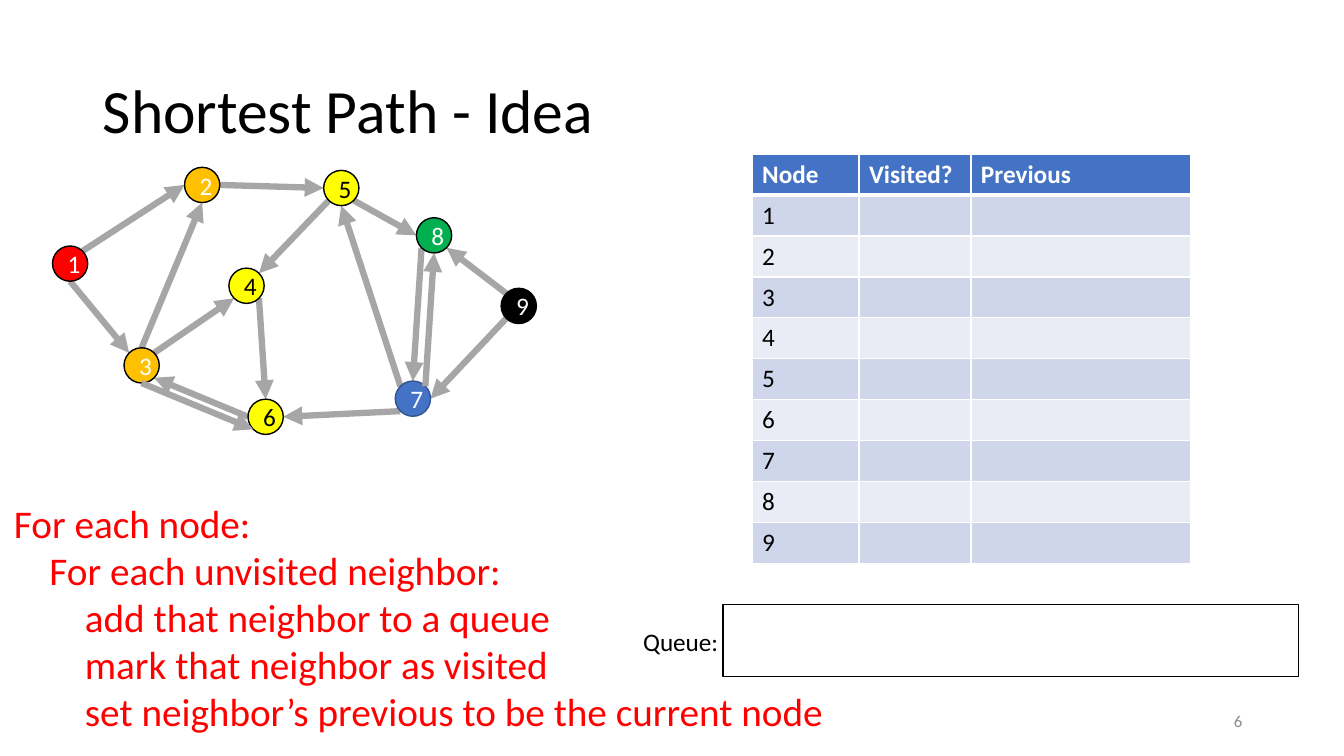
from dataclasses import dataclass
from math import sqrt

from lxml.etree import SubElement
from pptx import Presentation
from pptx.dml.color import RGBColor
from pptx.enum.shapes import MSO_CONNECTOR, MSO_SHAPE
from pptx.enum.text import MSO_ANCHOR, MSO_AUTO_SIZE, PP_ALIGN
from pptx.oxml.ns import qn
from pptx.shapes.autoshape import Shape
from pptx.slide import Slide
from pptx.table import _Cell
from pptx.text.text import TextFrame
from pptx.util import Emu, Inches, Pt

BLACK = RGBColor(0x00, 0x00, 0x00)
WHITE = RGBColor(0xFF, 0xFF, 0xFF)
RED = RGBColor(0xFF, 0x00, 0x00)
ORANGE = RGBColor(0xFF, 0xC0, 0x00)
YELLOW = RGBColor(0xFF, 0xFF, 0x00)
GREEN = RGBColor(0x00, 0xB0, 0x50)
BLUE = RGBColor(0x44, 0x72, 0xC4)
DARK_BLUE = RGBColor(0x32, 0x54, 0x91)
ARROW_GRAY = RGBColor(0xA6, 0xA6, 0xA6)
NUMBER_GRAY = RGBColor(0x8C, 0x8C, 0x8C)
BAND_DARK = RGBColor(0xCF, 0xD5, 0xEA)
BAND_LIGHT = RGBColor(0xE9, 0xEB, 0xF5)

FONT = "Calibri"
SLIDE_WIDTH = Inches(13.33)
SLIDE_HEIGHT = Inches(7.5)
GRID_ROWS = 75
CELL = SLIDE_HEIGHT / GRID_ROWS
NODE_SIZE = 3.5
INDENT = 3.52
DIAGONAL = sqrt(0.5)
COMPASS = {
    "N": (0, -1), "S": (0, 1), "W": (-1, 0), "E": (1, 0),
    "NW": (-DIAGONAL, -DIAGONAL), "NE": (DIAGONAL, -DIAGONAL),
    "SW": (-DIAGONAL, DIAGONAL), "SE": (DIAGONAL, DIAGONAL),
}


@dataclass(frozen=True)
class Node:
    column: float
    row: float
    fill: RGBColor
    ink: RGBColor = WHITE
    outline: RGBColor = BLACK


@dataclass(frozen=True)
class Edge:
    start: int
    start_side: str
    end: int
    end_side: str


NODES = {
    1: Node(5.2, 24.4, RED),
    2: Node(18.3, 16.6, ORANGE),
    3: Node(12.3, 34.5, ORANGE),
    4: Node(22.7, 26.6, YELLOW, BLACK),
    5: Node(32.1, 16.9, YELLOW, BLACK),
    6: Node(24.6, 39.6, YELLOW, BLACK),
    7: Node(39.2, 37.8, BLUE, WHITE, DARK_BLUE),
    8: Node(41.3, 21.6, GREEN),
    9: Node(49.7, 28.6, BLACK),
}
EDGES_BELOW = [
    Edge(1, "NE", 2, "W"), Edge(2, "E", 5, "W"), Edge(1, "S", 3, "NW"),
    Edge(3, "NE", 4, "SW"), Edge(6, "W", 3, "SE"), Edge(4, "SE", 6, "N"),
    Edge(5, "SW", 4, "NE"), Edge(7, "SW", 6, "E"), Edge(7, "NW", 5, "S"),
    Edge(5, "SE", 8, "W"), Edge(8, "SW", 7, "N"), Edge(9, "NW", 8, "SE"),
    Edge(9, "SW", 7, "E"), Edge(3, "N", 2, "S"),
]
EDGES_ABOVE = [Edge(7, "NE", 8, "S"), Edge(3, "S", 6, "SW")]
PSEUDOCODE = [
    (0, "For each node:"),
    (1, "For each unvisited neighbor:"),
    (2, "add that neighbor to a queue"),
    (2, "mark that neighbor as visited"),
    (2, "set neighbor’s previous to be the current node"),
]
HEADERS = ["Node", "Visited?", "Previous"]
TABLE_COLUMNS = [10.6, 11.1, 21.8]
TABLE_ROW = 4.06


def grid(*cells: float) -> list[Emu]:
    return [Emu(round(count * CELL)) for count in cells]


def write_text(frame: TextFrame, lines: list[tuple[int, str]], *, size: float,
               color: RGBColor = BLACK, bold: bool = False, wrap: bool = True,
               align: PP_ALIGN = PP_ALIGN.LEFT, spacing: float = 1.0,
               anchor: MSO_ANCHOR = MSO_ANCHOR.TOP) -> None:
    frame.word_wrap = wrap
    frame.auto_size = MSO_AUTO_SIZE.NONE
    frame.vertical_anchor = anchor
    for index, (level, text) in enumerate(lines):
        para = frame.add_paragraph() if index else frame.paragraphs[0]
        para.alignment = align
        para.line_spacing = spacing
        if level:
            para._p.get_or_add_pPr().set("marL", str(grid(level * INDENT)[0]))
        span = para.add_run()
        span.text = text
        span.font.name = FONT
        span.font.size = Pt(size)
        span.font.bold = bold
        span.font.color.rgb = color


def add_outlined(page: Slide, kind: MSO_SHAPE, area: list[Emu],
                 fill: RGBColor, outline: RGBColor) -> Shape:
    shape = page.shapes.add_shape(kind, *area)
    shape.shadow.inherit = False
    shape.fill.solid()
    shape.fill.fore_color.rgb = fill
    shape.line.color.rgb = outline
    shape.line.width = Pt(1)
    return shape


def add_node(page: Slide, label: int, node: Node) -> None:
    area = grid(node.column, node.row, NODE_SIZE, NODE_SIZE)
    circle = add_outlined(page, MSO_SHAPE.OVAL, area, node.fill, node.outline)
    write_text(circle.text_frame, [(0, str(label))], size=18, color=node.ink,
               align=PP_ALIGN.CENTER, anchor=MSO_ANCHOR.MIDDLE)


def node_side(label: int, side: str) -> list[Emu]:
    node, (across, down) = NODES[label], COMPASS[side]
    radius = NODE_SIZE / 2
    return grid(node.column + radius * (1 + across), node.row + radius * (1 + down))


def add_edge(page: Slide, edge: Edge) -> None:
    arrow = page.shapes.add_connector(
        MSO_CONNECTOR.STRAIGHT,
        *node_side(edge.start, edge.start_side), *node_side(edge.end, edge.end_side))
    arrow.line.color.rgb = ARROW_GRAY
    arrow.line.width = Pt(4.5)
    properties = arrow._element.spPr
    SubElement(properties.find(qn("a:ln")), qn("a:tailEnd"), type="triangle")
    SubElement(properties, qn("a:effectLst"))


def style_cell(cell: _Cell, fill: RGBColor, borders: dict[str, float]) -> None:
    properties = cell._tc.get_or_add_tcPr()
    for side, width in borders.items():
        line = SubElement(properties, qn(f"a:ln{side}"), w=str(Pt(width)))
        paint = SubElement(line, qn("a:solidFill"))
        SubElement(paint, qn("a:srgbClr"), val=str(WHITE))
    cell.fill.solid()
    cell.fill.fore_color.rgb = fill


def add_node_table(page: Slide) -> None:
    rows = [HEADERS] + [[str(label), "", ""] for label in NODES]
    area = grid(74.6, 15.3, sum(TABLE_COLUMNS), TABLE_ROW * len(rows))
    table = page.shapes.add_table(len(rows), len(HEADERS), *area).table
    for column, width in zip(table.columns, grid(*TABLE_COLUMNS)):
        column.width = width
    for index, values in enumerate(rows):
        table.rows[index].height = grid(TABLE_ROW)[0]
        header = index == 0
        fill = BLUE if header else BAND_DARK if index % 2 else BAND_LIGHT
        borders = {"L": 1, "R": 1, "T": 3 if index == 1 else 1, "B": 3 if header else 1}
        for cell, value in zip(table.rows[index].cells, values):
            style_cell(cell, fill, borders)
            if value:
                write_text(cell.text_frame, [(0, value)], size=18, bold=header,
                           color=WHITE if header else BLACK)


def main() -> None:
    deck = Presentation()
    deck.slide_width, deck.slide_height = SLIDE_WIDTH, SLIDE_HEIGHT
    page = deck.slides.add_slide(deck.slide_layouts[5])
    title = page.shapes.title
    title.left, title.top, title.width, title.height = grid(9.2, 4, 115, 14.5)
    write_text(title.text_frame, [(0, "Shortest Path - Idea")], size=44,
               spacing=0.9, anchor=MSO_ANCHOR.MIDDLE)
    number = page.shapes.add_textbox(*grid(94.2, 69.5, 30, 4))
    write_text(number.text_frame, [(0, "6")], size=12, color=NUMBER_GRAY,
               align=PP_ALIGN.RIGHT, anchor=MSO_ANCHOR.MIDDLE)
    for edge in EDGES_BELOW:
        add_edge(page, edge)
    for label, node in NODES.items():
        add_node(page, label, node)
    for edge in EDGES_ABOVE:
        add_edge(page, edge)
    steps = page.shapes.add_textbox(*grid(0.4, 49, 83.2, 25))
    write_text(steps.text_frame, PSEUDOCODE, size=28, color=RED)
    add_node_table(page)
    add_outlined(page, MSO_SHAPE.RECTANGLE, grid(71.7, 60, 57.1, 7.1), WHITE, BLACK)
    queue = page.shapes.add_textbox(*grid(62.8, 61.6, 9.6, 4))
    write_text(queue.text_frame, [(0, "Queue:")], size=18, wrap=False)
    deck.save("out.pptx")


if __name__ == "__main__":
    main()
